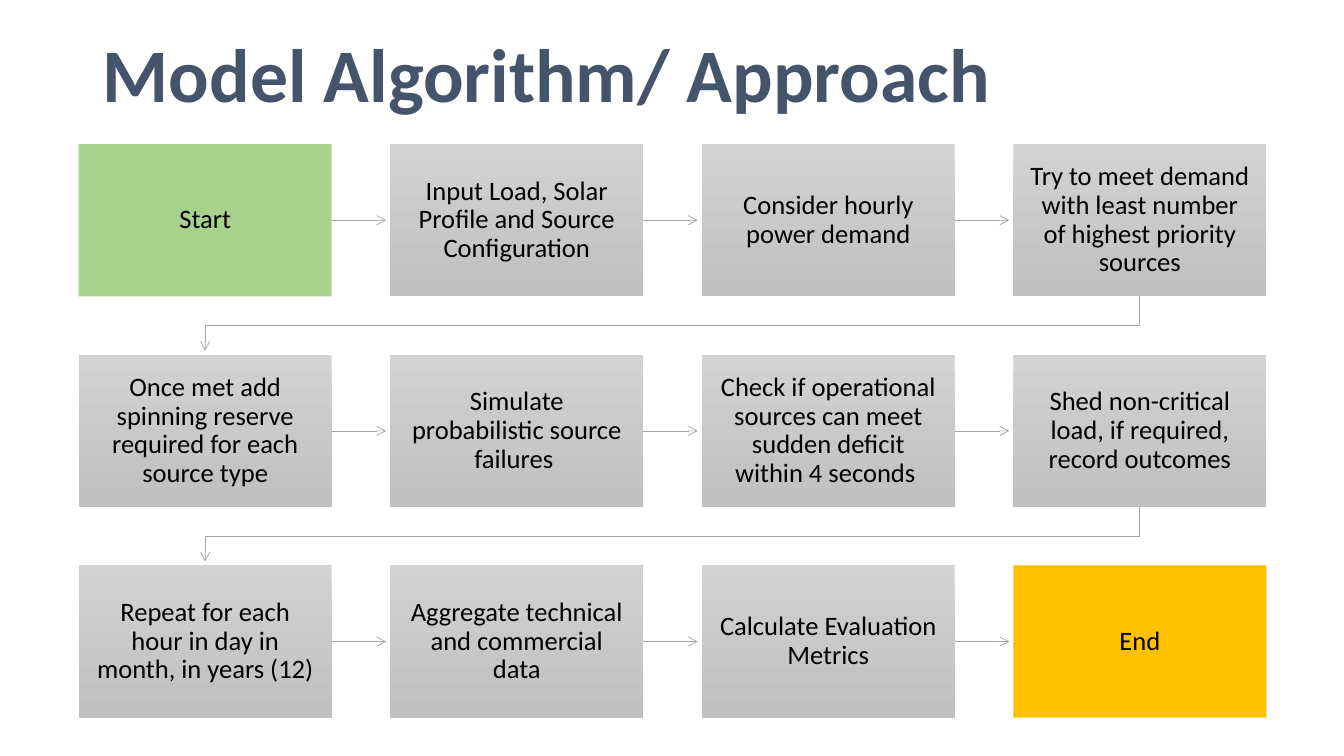
import pptx
import pptx.util
import pptx.dml.color
import pptx.enum.shapes
import pptx.enum.text
import pptx.oxml.ns
import lxml.etree

Inches, Pt = pptx.util.Inches, pptx.util.Pt
COLOURS = {name: pptx.dml.color.RGBColor.from_string(value) for name, value in {
    "title": "44546A", "text": "000000", "arrow": "A5A5A5",
    "start": "A9D18E", "end": "FFC000",
    "step top": "D2D2D2", "step bottom": "C0C0C0",
}.items()}

STEPS = [
    ["Start", "Input Load, Solar Profile and Source Configuration",
     "Consider hourly power demand",
     "Try to meet demand with least number of highest priority sources"],
    ["Once met add spinning reserve required for each source type",
     "Simulate probabilistic source failures ",
     "Check if operational sources can meet sudden deficit within 4 seconds ",
     "Shed non-critical load, if required, record outcomes"],
    ["Repeat for each hour in day in month, in years (12)",
     "Aggregate technical and commercial data",
     "Calculate Evaluation Metrics", "End"],
]

# Grid of the flow, in inches
LEFT, TOP = 0.78, 1.43
BOX_WIDTH, BOX_HEIGHT = 2.51, 1.51
COLUMN_STEP, ROW_STEP = 3.09, 2.09
ARROW_LENGTH = 0.54
LAST_COLUMN = len(STEPS[0]) - 1


def style_arrow(arrow):
    """Thin grey line with an open head and no shadow."""
    arrow.line.color.rgb = COLOURS["arrow"]
    arrow.line.width = Pt(0.5)
    qn = pptx.oxml.ns.qn
    line = arrow._element.spPr.find(qn("a:ln"))
    lxml.etree.SubElement(line, qn("a:tailEnd"), type="arrow")
    lxml.etree.SubElement(arrow._element.spPr, qn("a:effectLst"))


deck = pptx.Presentation()
deck.slide_width, deck.slide_height = Inches(13.33), Inches(7.5)
page = deck.slides.add_slide(deck.slide_layouts[5])

# Title
title = page.shapes.title
title.left, title.top = Inches(0.92), Inches(0.26)
title.width, title.height = Inches(11.5), Inches(1.03)
title.text_frame.text = "Model Algorithm/ Approach"
title.text_frame.auto_size = pptx.enum.text.MSO_AUTO_SIZE.NONE
title.text_frame.vertical_anchor = pptx.enum.text.MSO_ANCHOR.MIDDLE
para = title.text_frame.paragraphs[0]
para.alignment = pptx.enum.text.PP_ALIGN.LEFT
para.line_spacing = 0.9
para.font.name, para.font.size, para.font.bold = "Calibri", Pt(54), True
para.font.color.rgb = COLOURS["title"]

for row, labels in enumerate(STEPS):
    top = TOP + row * ROW_STEP
    for column, label in enumerate(labels):
        left = LEFT + column * COLUMN_STEP

        # Step box
        box = page.shapes.add_shape(
            pptx.enum.shapes.MSO_SHAPE.RECTANGLE,
            Inches(left), Inches(top), Inches(BOX_WIDTH), Inches(BOX_HEIGHT))
        box.shadow.inherit = False
        box.line.fill.background()
        if label in ("Start", "End"):
            box.fill.solid()
            box.fill.fore_color.rgb = COLOURS[label.lower()]
        else:
            box.fill.gradient()
            box.fill.gradient_angle = 270
            for stop, shade in zip(box.fill.gradient_stops, ("step top", "step bottom")):
                stop.color.rgb = COLOURS[shade]

        # Step text
        frame = box.text_frame
        frame.word_wrap = True
        frame.vertical_anchor = pptx.enum.text.MSO_ANCHOR.MIDDLE
        frame.margin_left = frame.margin_right = Inches(0.15)
        frame.margin_top = frame.margin_bottom = Inches(0.15)
        frame.text = label
        para = frame.paragraphs[0]
        para.alignment = pptx.enum.text.PP_ALIGN.CENTER
        para.line_spacing = 0.9
        para.font.name, para.font.size = "Calibri", Pt(19)
        para.font.color.rgb = COLOURS["text"]

        # Arrow to the next step in the row
        if column < LAST_COLUMN:
            start, middle = left + BOX_WIDTH, top + BOX_HEIGHT / 2
            arrow = page.shapes.add_connector(
                pptx.enum.shapes.MSO_CONNECTOR.STRAIGHT,
                Inches(start), Inches(middle),
                Inches(start + ARROW_LENGTH), Inches(middle))
            style_arrow(arrow)

    # Arrow back to the first step of the next row
    if row < len(STEPS) - 1:
        first = Inches(LEFT + BOX_WIDTH / 2)
        last = Inches(LEFT + LAST_COLUMN * COLUMN_STEP + BOX_WIDTH / 2)
        bottom = top + BOX_HEIGHT
        bend, tip = Inches(bottom + 0.29), Inches(bottom + ARROW_LENGTH)
        outline = page.shapes.build_freeform(last, Inches(bottom))
        outline.add_line_segments([(last, bend), (first, bend), (first, tip)], close=False)
        wrap = outline.convert_to_shape()
        wrap.fill.background()
        style_arrow(wrap)

deck.save("out.pptx")
